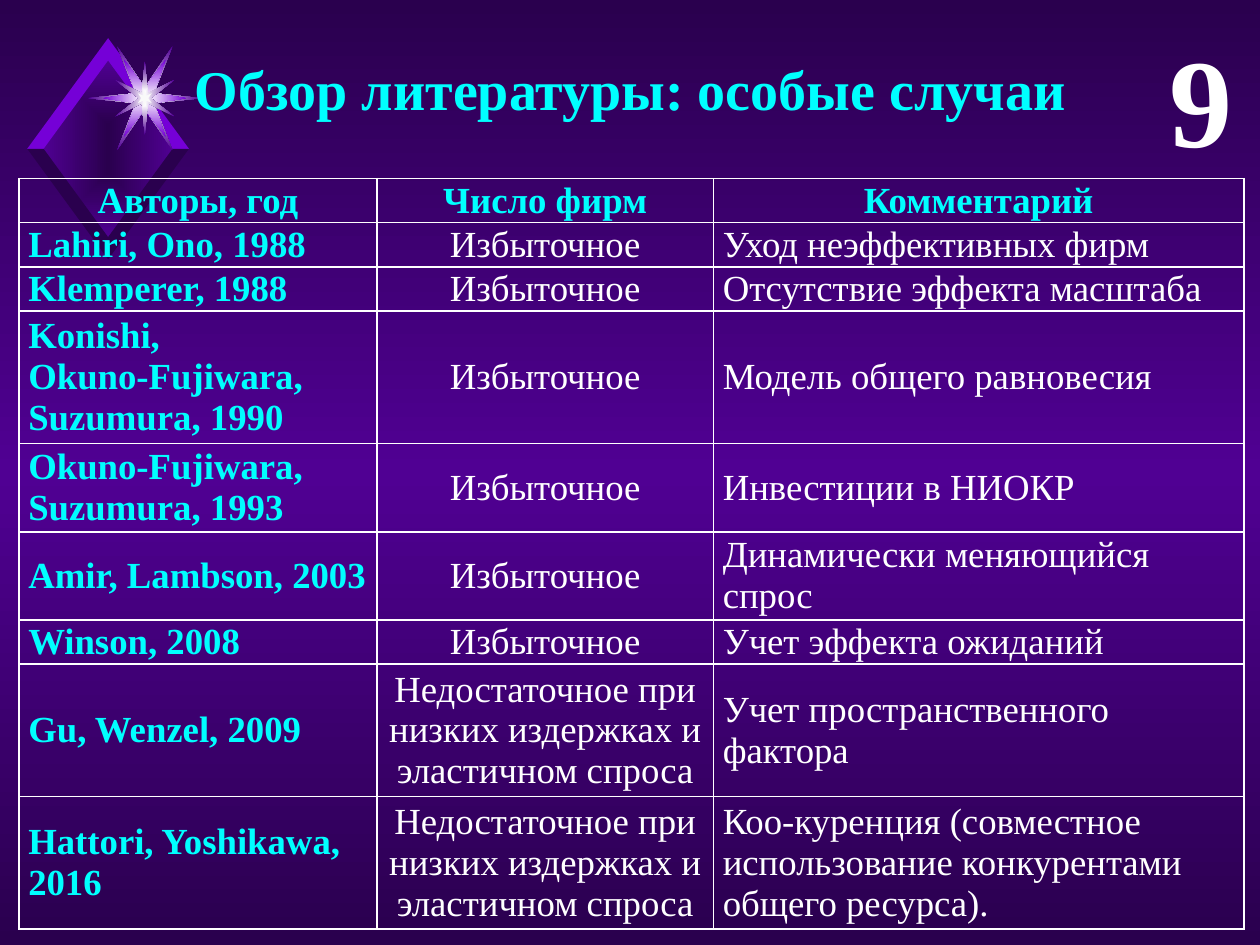
from dataclasses import dataclass
from itertools import product
from math import atan2

from lxml import etree
from pptx import Presentation
from pptx.dml.color import RGBColor
from pptx.enum.text import MSO_ANCHOR, PP_ALIGN
from pptx.oxml.ns import qn
from pptx.util import Cm, Pt

LEFT, MID, RIGHT = PP_ALIGN.LEFT, PP_ALIGN.CENTER, PP_ALIGN.RIGHT
CENTRE = MSO_ANCHOR.MIDDLE


@dataclass(frozen=True)
class Theme:
    """Colours, font and type sizes of the slide."""
    dark: str = "2A004E"
    deep: str = "500093"
    vivid: str = "7500D7"
    glow: str = "F9F9F9"
    white: str = "FFFFFF"
    cyan: str = "00FFFF"
    face: str = "Times New Roman"
    head: int = 32
    body: int = 21
    page: int = 72


LOOK = Theme()
GEM = (2.18, 3)
STAR = (2.92, 1.98)
OUTER, INNER = (1.63, 2.23), (1.3, 1.78)
NOTCH = [(0.18, 0.1), (0, 0.21)]
RAYS = [
    ([(1.15, 0), (0.56, 1.05)] + NOTCH, LOOK.deep),
    ([(0.84, 0), (0.42, 0.78)] + NOTCH, LOOK.vivid),
    ([(0, 0.74), (0.6, 0.37), (0.06, 0.1), (0.12, 0)], LOOK.deep),
]
SPARK = [(0, 0.18), (0.14, 0.1), (0.03, 0.05), (0.07, 0)]

COLS = (7.22, 6.78, 10.7)
LINE = 0.89
MANY = "Избыточное"
FEW = "Недостаточное при низких издержках и эластичном спроса"
ROWS = [
    (1, "Авторы, год", "Число фирм", "Комментарий"),
    (1, "Lahiri, Ono, 1988", MANY, "Уход неэффективных фирм"),
    (1, "Klemperer, 1988", MANY, "Отсутствие эффекта масштаба"),
    (3, "Konishi,\nOkuno-Fujiwara,\nSuzumura, 1990", MANY,
     "Модель общего равновесия"),
    (2, "Okuno-Fujiwara,\nSuzumura, 1993", MANY, "Инвестиции в НИОКР"),
    (2, "Amir, Lambson, 2003", MANY, "Динамически меняющийся спрос"),
    (1, "Winson, 2008", MANY, "Учет эффекта ожиданий"),
    (3, "Gu, Wenzel, 2009", FEW, "Учет пространственного фактора"),
    (3, "Hattori, Yoshikawa, 2016", FEW,
     "Коо-куренция (совместное использование конкурентами общего ресурса)."),
]


def apply(item, form):
    """Set each attribute named in a dict of format values."""
    for key, value in form.items():
        setattr(item, key, value)


def write(frame, text, size, tint, bold, align):
    """Fill a text frame and format its paragraphs."""
    frame.text = text
    frame.word_wrap = True
    for para in frame.paragraphs:
        para.alignment = align
        apply(para.font, {"name": LOOK.face, "size": Pt(size), "bold": bold})
        para.font.color.rgb = RGBColor.from_string(tint)


def blend(host, tints, radial):
    """Give the gradient inside an element its stops and direction."""
    node = next(host.iter(qn("a:gradFill")))
    for child in list(node):
        node.remove(child)
    stops = etree.SubElement(node, qn("a:gsLst"))
    for i, tint in enumerate(tints):
        place = str(100000 * i // (len(tints) - 1))
        stop = etree.SubElement(stops, qn("a:gs"), pos=place)
        etree.SubElement(stop, qn("a:srgbClr"), val=tint)
    if radial:
        path = etree.SubElement(node, qn("a:path"), path="rect")
        sides = dict.fromkeys("ltrb", "50000")
        etree.SubElement(path, qn("a:fillToRect"), **sides)
    else:
        etree.SubElement(node, qn("a:lin"), ang="5400000", scaled="0")


def mirror(points):
    """Reflect one quarter of an outline into all four, in order of angle."""
    signs = list(product((1, -1), repeat=2))
    ring = {(x * a, y * b) for x, y in points for a, b in signs}
    return sorted(ring, key=lambda p: atan2(p[1], p[0]))


def outline(slide, mid, points, *tints):
    """Draw a closed outline around a centre, plain or with a gradient."""
    spots = [(Cm(mid[0] + x), Cm(mid[1] + y)) for x, y in points]
    pen = slide.shapes.build_freeform(*spots[0])
    pen.add_line_segments(spots[1:], close=True)
    shape = pen.convert_to_shape()
    shape.shadow.inherit = False
    shape.line.fill.background()
    if len(tints) > 1:
        shape.fill.gradient()
        blend(shape.element, tints, True)
    else:
        shape.fill.solid()
        shape.fill.fore_color.rgb = RGBColor.from_string(tints[0])


def jewel(slide):
    """Draw the bevelled diamond and the star on its edge."""
    core = mirror([(1.32, 0), (0, 1.8)])
    outline(slide, GEM, core, LOOK.dark, LOOK.deep)
    for down, side in product((-1, 1), (1, -1)):
        band = [(0, INNER[1] * down), (0, OUTER[1] * down),
                (OUTER[0] * side, 0), (INNER[0] * side, 0)]
        outline(slide, GEM, band, LOOK.vivid if down < 0 else LOOK.dark)
    for points, tint in RAYS:
        outline(slide, STAR, mirror(points), LOOK.white, tint)
    outline(slide, STAR, mirror(SPARK), LOOK.glow)


def heading(slide, text):
    """Place the title above the decoration."""
    title = slide.shapes.title
    slide.shapes.element.append(title.element)
    apply(title, {"left": Cm(0.5), "top": Cm(0.97),
                  "width": Cm(24.43), "height": Cm(1.63)})
    title.text_frame.vertical_anchor = CENTRE
    write(title.text_frame, text, LOOK.head, LOOK.cyan, True, MID)


def number(slide, text):
    """Place the large page number in the corner."""
    box = slide.shapes.add_textbox(Cm(21.92), Cm(0.3), Cm(3.17), Cm(3.33))
    write(box.text_frame, text, LOOK.page, LOOK.white, True, RIGHT)


def border(cell):
    """Draw thin lines on all four sides of a cell."""
    props = cell._tc.get_or_add_tcPr()
    for i, side in enumerate("LRTB"):
        line = etree.Element(qn(f"a:ln{side}"), w=str(Pt(1)))
        fill = etree.SubElement(line, qn("a:solidFill"))
        etree.SubElement(fill, qn("a:srgbClr"), val=LOOK.white)
        props.insert(i, line)


def grid(slide):
    """Build the table of papers."""
    tall = LINE * sum(row[0] for row in ROWS)
    table = slide.shapes.add_table(
        len(ROWS), len(COLS), Cm(0.38), Cm(3.6), Cm(sum(COLS)), Cm(tall)).table
    apply(table, {"first_row": False, "horz_banding": False})
    for col, width in zip(table.columns, COLS):
        col.width = Cm(width)
    for r, (lines, *texts) in enumerate(ROWS):
        table.rows[r].height = Cm(LINE * lines)
        for c, text in enumerate(texts):
            cell = table.cell(r, c)
            apply(cell, {"vertical_anchor": CENTRE,
                         "margin_left": Cm(0.19), "margin_right": Cm(0.19),
                         "margin_top": 0, "margin_bottom": 0})
            key = r == 0 or c == 0
            write(cell.text_frame, text, LOOK.body,
                  LOOK.cyan if key else LOOK.white, key,
                  MID if r == 0 or c == 1 else LEFT)
            cell.fill.background()
            border(cell)


def main():
    """Build and save the slide."""
    deck = Presentation()
    apply(deck, {"slide_width": Cm(25.4), "slide_height": Cm(19.05)})
    slide = deck.slides.add_slide(deck.slide_layouts[5])
    slide.background.fill.gradient()
    blend(slide.element, (LOOK.dark, LOOK.deep, LOOK.dark), False)
    jewel(slide)
    heading(slide, "Обзор литературы: особые случаи")
    number(slide, "9")
    grid(slide)
    deck.save("out.pptx")


if __name__ == "__main__":
    main()
